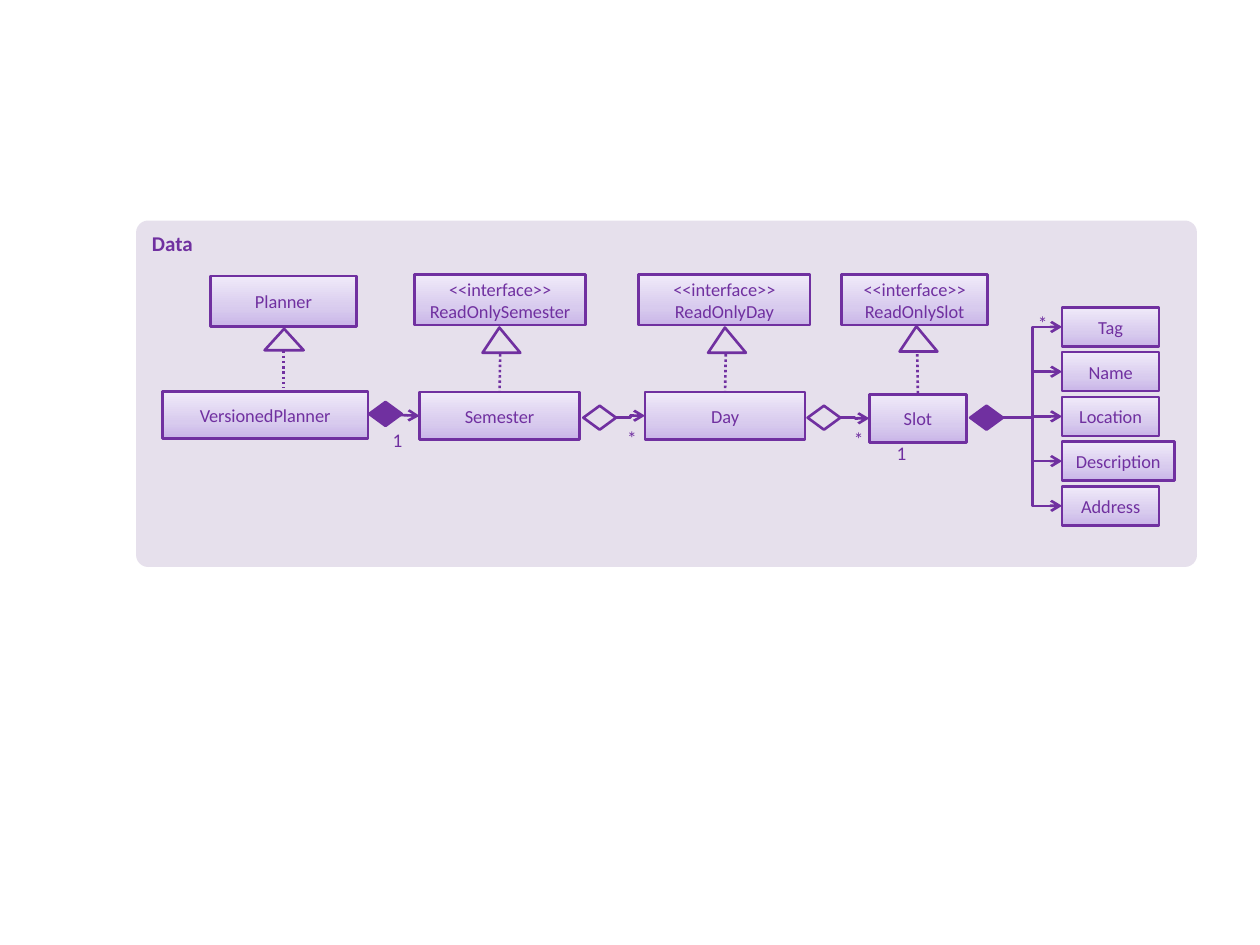
from copy import deepcopy
from dataclasses import dataclass

from lxml.etree import SubElement
from pptx import Presentation
from pptx.dml.color import RGBColor
from pptx.enum.dml import MSO_LINE_DASH_STYLE as Dash
from pptx.enum.shapes import MSO_CONNECTOR as Link, MSO_SHAPE as Shape
from pptx.enum.text import MSO_ANCHOR as Anchor, PP_ALIGN as Align
from pptx.oxml.ns import qn
from pptx.util import Inches, Pt

COLUMNS, ROWS = 100, 75
TOP, LEFT, BOTTOM, RIGHT = range(4)


@dataclass(frozen=True)
class Theme:
    font: str = "Calibri"
    ink: RGBColor = RGBColor.from_string("7030A0")
    panel: RGBColor = RGBColor.from_string("E6E0EC")
    gradient: tuple = ((0, "C9B5E8"), (0.35, "D8CBEE"), (1, "F0EAF9"))
    heading_size: float = 12
    box_size: float = 10.5
    label_size: float = 11
    line_width: float = 1.5


class ClassDiagram:
    """Draws on one page; lengths are columns and rows of the grid."""

    def __init__(self, deck, theme):
        self.theme = theme
        self.page = deck.slides.add_slide(deck.slide_layouts[6])
        self.column = deck.slide_width / COLUMNS
        self.row = deck.slide_height / ROWS

    def place(self, left, top, width=0, height=0):
        return [round(left * self.column), round(top * self.row),
                round(width * self.column), round(height * self.row)]

    def set_text(self, frame, text, size, align, anchor=Anchor.TOP, bold=False):
        frame.word_wrap = True
        frame.vertical_anchor = anchor
        para = frame.paragraphs[0]
        para.text = text
        para.alignment = align
        para.font.name = self.theme.font
        para.font.size = Pt(size)
        para.font.bold = bold
        para.font.color.rgb = self.theme.ink

    def shape(self, kind, area, fill=None, outlined=True):
        shape = self.page.shapes.add_shape(kind, *self.place(*area))
        shape.shadow.inherit = False
        if fill is None:
            shape.fill.background()
        else:
            shape.fill.solid()
            shape.fill.fore_color.rgb = fill
        if outlined:
            shape.line.color.rgb = self.theme.ink
            shape.line.width = Pt(self.theme.line_width)
        else:
            shape.line.fill.background()
        return shape

    def panel(self, text, *area):
        panel = self.shape(Shape.ROUNDED_RECTANGLE, area, self.theme.panel, outlined=False)
        panel.adjustments[0] = 0.035
        self.set_text(panel.text_frame, text, self.theme.heading_size, Align.LEFT, bold=True)

    def box(self, text, *area):
        box = self.shape(Shape.RECTANGLE, area)
        box.fill.gradient()
        box.fill.gradient_angle = 90
        stop_list = box._element.spPr.find(qn("a:gradFill")).find(qn("a:gsLst"))
        stop_list.append(deepcopy(stop_list[0]))
        for stop, (position, color) in zip(box.fill.gradient_stops, self.theme.gradient):
            stop.position = position
            stop.color.rgb = RGBColor.from_string(color)
        self.set_text(box.text_frame, text, self.theme.box_size, Align.CENTER, Anchor.MIDDLE)
        return box

    def diamond(self, left, top, filled):
        fill = self.theme.ink if filled else None
        return self.shape(Shape.FLOWCHART_DECISION, (left, top, 2.6, 1.9), fill)

    def triangle(self, *area, apex=0.445):
        triangle = self.shape(Shape.ISOSCELES_TRIANGLE, area, self.theme.panel)
        triangle.adjustments[0] = apex

    def label(self, text, left, top):
        box = self.page.shapes.add_textbox(*self.place(left, top, 2.1, 2))
        frame = box.text_frame
        frame.margin_left = frame.margin_right = frame.margin_top = frame.margin_bottom = 0
        self.set_text(frame, text, self.theme.label_size, Align.CENTER)

    def connector(self, kind, start=(0, 0), end=(0, 0)):
        line = self.page.shapes.add_connector(
            kind, *self.place(*start)[:2], *self.place(*end)[:2])
        line.line.color.rgb = self.theme.ink
        line.line.width = Pt(self.theme.line_width)
        SubElement(line._element.spPr, qn("a:effectLst"))
        return line

    def arrow(self, source, target, kind=Link.ELBOW, side=RIGHT):
        line = self.connector(kind)
        line.begin_connect(source, side)
        line.end_connect(target, LEFT)
        outline = line._element.spPr.find(qn("a:ln"))
        SubElement(outline, qn("a:tailEnd"), type="arrow")

    def dotted(self, center, top, bottom, target=None):
        line = self.connector(Link.STRAIGHT, (center, top), (center, bottom))
        line.line.dash_style = Dash.ROUND_DOT
        if target is not None:
            line.end_connect(target, TOP)


def main():
    deck = Presentation()
    deck.slide_width, deck.slide_height = Inches(10), Inches(7.5)
    diagram = ClassDiagram(deck, Theme())
    diagram.panel("Data", 10.8, 17.5, 84.2, 27.5)

    diagram.box("VersionedPlanner", 12.9, 31.1, 16.3, 3.7)
    semester = diagram.box("Semester", 33.3, 31.1, 12.7, 3.8)
    day = diagram.box("Day", 51.2, 31.1, 12.7, 3.8)
    slot = diagram.box("Slot", 69, 31.3, 7.7, 3.8)

    diagram.box("Planner", 16.7, 21.9, 11.6, 4)
    diagram.dotted(22.5, 27.8, 30.8)
    diagram.triangle(21, 26.1, 3.1, 1.7, apex=0.5)

    interfaces = [
        ("ReadOnlySemester", 32.9, 13.6, 38.3, 26, semester),
        ("ReadOnlyDay", 50.7, 13.6, 56.2, 26, day),
        ("ReadOnlySlot", 66.8, 11.6, 71.4, 25.9, slot),
    ]
    for name, left, width, triangle_left, triangle_top, target in interfaces:
        diagram.box(f"<<interface>>\n{name}", left, 21.8, width, 4)
        diagram.triangle(triangle_left, triangle_top, 3, 2)
        diagram.dotted(triangle_left + 1.4, 28.1, 31.1, target)

    version_diamond = diagram.diamond(29.3, 31.9, filled=True)
    diagram.arrow(version_diamond, semester, Link.STRAIGHT, side=LEFT)
    diagram.arrow(diagram.diamond(46.3, 32.2, filled=False), day)
    diagram.arrow(diagram.diamond(64.1, 32.2, filled=False), slot)

    slot_diamond = diagram.diamond(77, 32.2, filled=True)
    for index, part in enumerate(["Tag", "Name", "Location", "Description", "Address"]):
        width = 8.9 if part == "Description" else 7.7
        box = diagram.box(part, 84.3, 24.4 + 3.55 * index, width, 3.1)
        diagram.arrow(slot_diamond, box)

    for text, left, top in [("1", 30.5, 34), ("*", 49.1, 33.8), ("*", 67.1, 33.9),
                            ("1", 70.5, 35), ("*", 81.7, 24.7)]:
        diagram.label(text, left, top)

    deck.save("out.pptx")


if __name__ == "__main__":
    main()
